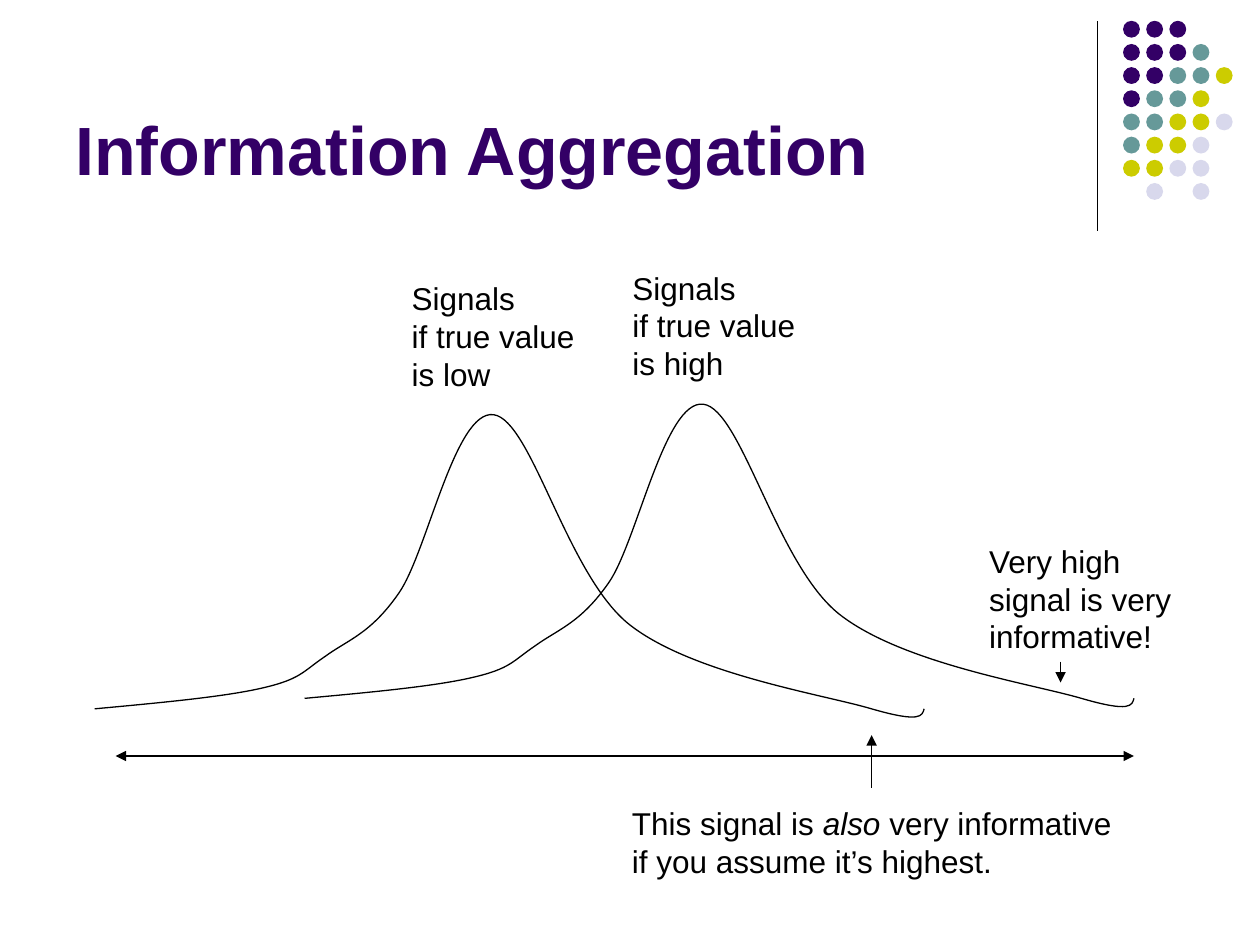
from dataclasses import dataclass

from lxml import etree
from pptx import Presentation
from pptx.dml.color import RGBColor
from pptx.enum.shapes import MSO_CONNECTOR, MSO_SHAPE
from pptx.enum.text import MSO_ANCHOR, MSO_AUTO_SIZE
from pptx.oxml.ns import qn
from pptx.util import Cm, Pt

STRAIGHT = MSO_CONNECTOR.STRAIGHT
OVAL = MSO_SHAPE.OVAL
BOTTOM = MSO_ANCHOR.BOTTOM
FIT_TEXT = MSO_AUTO_SIZE.SHAPE_TO_FIT_TEXT


@dataclass(frozen=True)
class Theme:
    font: str = "Arial"
    ink: str = "000000"
    purple: str = "330066"
    teal: str = "669999"
    olive: str = "CCCC00"
    lilac: str = "D8D8EC"
    title_size: float = 39
    label_size: float = 18
    line_width: float = 0.75


class SlideBuilder:
    def __init__(self, slide, theme):
        self.slide = slide
        self.theme = theme

    def style_line(self, line):
        line.color.rgb = RGBColor.from_string(self.theme.ink)
        line.width = Pt(self.theme.line_width)

    def style_font(self, font, size, color):
        font.name = self.theme.font
        font.size = Pt(size)
        font.color.rgb = RGBColor.from_string(color)

    def title(self, text, left, top, width, height):
        frame = self.slide.shapes.add_textbox(Cm(left), Cm(top), Cm(width), Cm(height)).text_frame
        frame.word_wrap = True
        frame.vertical_anchor = BOTTOM
        frame.text = text
        font = frame.paragraphs[0].runs[0].font
        self.style_font(font, self.theme.title_size, self.theme.purple)
        font.bold = True

    def label(self, lines, left, top, width, height, italic=None):
        frame = self.slide.shapes.add_textbox(Cm(left), Cm(top), Cm(width), Cm(height)).text_frame
        frame.word_wrap = False
        frame.auto_size = FIT_TEXT
        for index, parts in enumerate(lines):
            paragraph = frame.add_paragraph() if index else frame.paragraphs[0]
            for part in parts:
                run = paragraph.add_run()
                run.text = part
                self.style_font(run.font, self.theme.label_size, self.theme.ink)
                if part == italic:
                    run.font.italic = True

    def line(self, x1, y1, x2, y2, arrows=()):
        connector = self.slide.shapes.add_connector(STRAIGHT, Cm(x1), Cm(y1), Cm(x2), Cm(y2))
        self.style_line(connector.line)
        outline = connector.line._get_or_add_ln()
        for end in arrows:
            etree.SubElement(outline, qn(f"a:{end}"), type="triangle")
        etree.SubElement(connector._element.spPr, qn("a:effectLst"))

    def curve(self, points, dx=0, dy=0):
        start, *rest = [(Cm(x + dx), Cm(y + dy)) for x, y in points]
        builder = self.slide.shapes.build_freeform(*start)
        builder.add_line_segments(rest, close=False)
        shape = builder.convert_to_shape()
        shape.shadow.inherit = False
        shape.fill.background()
        self.style_line(shape.line)
        outline = shape._element.spPr.find(".//" + qn("a:path"))
        segments = outline.findall(qn("a:lnTo"))
        for first in range(0, len(segments), 3):
            bezier = etree.SubElement(outline, qn("a:cubicBezTo"))
            for segment in segments[first:first + 3]:
                bezier.append(segment[0])
                outline.remove(segment)

    def dot_grid(self, rows, colors, left, top, pitch, size):
        group = self.slide.shapes.add_group_shape()
        for row, codes in enumerate(rows):
            for column, code in enumerate(codes):
                if code not in colors:
                    continue
                dot = group.shapes.add_shape(
                    OVAL, Cm(left + column * pitch), Cm(top + row * pitch), Cm(size), Cm(size))
                dot.shadow.inherit = False
                dot.fill.solid()
                dot.fill.fore_color.rgb = RGBColor.from_string(colors[code])
                dot.line.fill.background()


LOW_SIGNALS = [
    (1.91, 14.29),
    (3.2, 14.17), (4.52, 14.05), (5.29, 13.87),
    (6.07, 13.69), (6.1, 13.54), (6.56, 13.23),
    (7.01, 12.9), (7.47, 12.78), (8.04, 11.96),
    (8.61, 11.15), (9.17, 8.26), (9.95, 8.36),
    (10.72, 8.46), (11.43, 11.61), (12.7, 12.6),
    (13.97, 13.59), (16.59, 14), (17.57, 14.29),
    (18.57, 14.58), (18.59, 14.43), (18.63, 14.29),
]
DOT_ROWS = ["PPP", "PPPT", "PPTTO", "PTTO", "TTOOL", "TOOL", "OOLL", ".L.L"]


def main():
    theme = Theme()
    deck = Presentation()
    deck.slide_width, deck.slide_height = Cm(25.4), Cm(19.05)
    page = SlideBuilder(deck.slides.add_slide(deck.slide_layouts[6]), theme)

    page.line(22.12, 0.43, 22.12, 4.66)
    dot_colors = {"P": theme.purple, "T": theme.teal, "O": theme.olive, "L": theme.lilac}
    page.dot_grid(DOT_ROWS, dot_colors, left=22.64, top=0.42, pitch=3.27 / 7, size=0.34)
    page.title("Information Aggregation", 1.27, 0.33, 20.96, 3.61)

    page.line(2.33, 15.24, 22.86, 15.24, arrows=("headEnd", "tailEnd"))
    page.curve(LOW_SIGNALS)
    page.curve(LOW_SIGNALS, dx=4.23, dy=-0.21)

    for value, left, top in (("high", 12.5, 5.29), ("low", 8.05, 5.5)):
        page.label([["Signals"], ["if true value"], [f"is {value}"]], left, top, 3.9, 2.54)
    page.label([["Very high"], ["signal is very"], ["informative!"]], 19.69, 10.8, 4.25, 2.54)
    page.line(21.38, 13.34, 21.38, 13.76, arrows=("tailEnd",))
    page.line(17.57, 15.88, 17.57, 14.82, arrows=("tailEnd",))
    page.label([["This signal is ", "also ", "very informative"], ["if you assume it’s highest."]],
               12.49, 16.09, 10.4, 1.78, italic="also ")

    deck.save("out.pptx")


if __name__ == "__main__":
    main()
